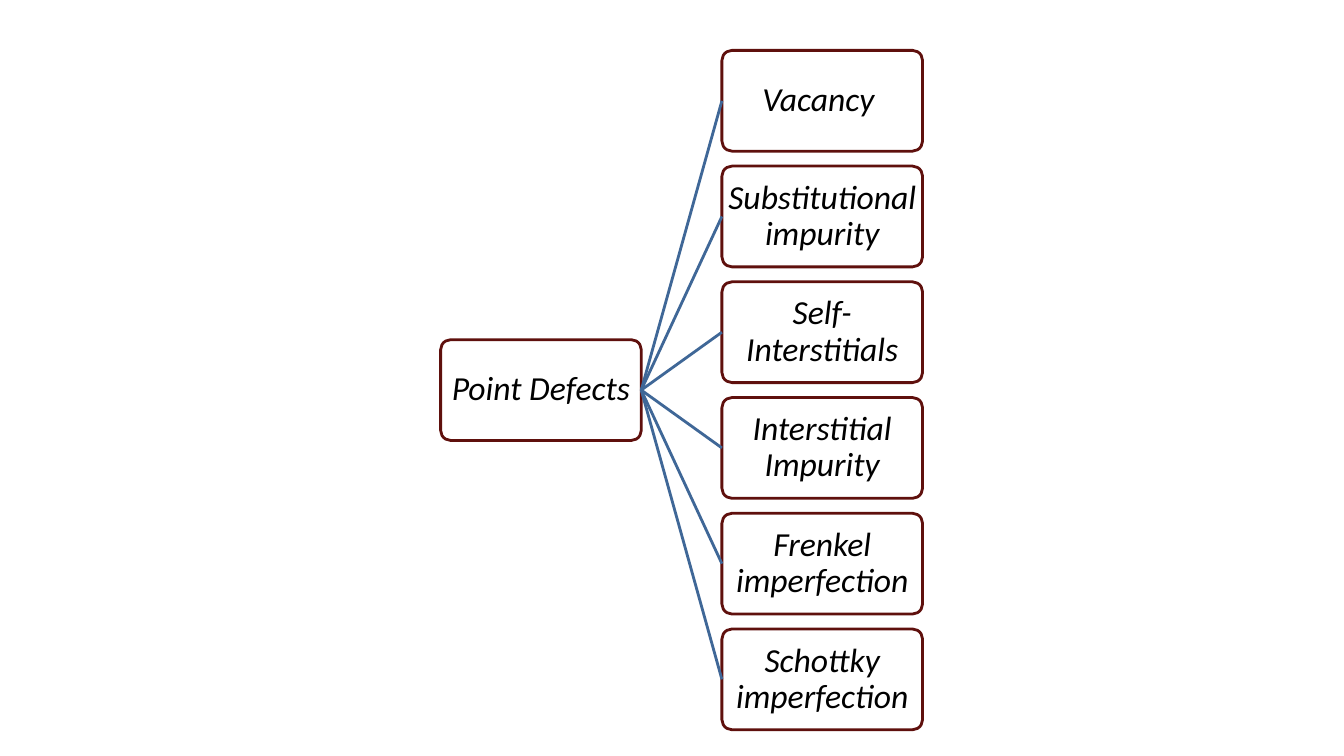
from pptx import Presentation
from pptx.dml.color import RGBColor
from pptx.enum.shapes import MSO_CONNECTOR, MSO_SHAPE
from pptx.enum.text import MSO_ANCHOR, PP_ALIGN
from pptx.oxml.ns import qn
from pptx.util import Inches, Pt
from lxml.etree import SubElement

ROOT = "Point Defects"
DEFECTS = [
    "Vacancy ",
    "Substitutional impurity",
    "Self-Interstitials",
    "Interstitial Impurity",
    "Frenkel imperfection",
    "Schottky imperfection",
]
BORDER, BRANCH, INK = "5F100D", "3F6797", "000000"

SLIDE_WIDTH, SLIDE_HEIGHT = 13.33, 7.5
BOX_WIDTH, BOX_HEIGHT = 1.99, 1
ROOT_LEFT, DEFECT_LEFT = 4.37, 7.16
FIRST_TOP, LAST_TOP = 0.5, 6.24
ROW_PITCH = (LAST_TOP - FIRST_TOP) / (len(DEFECTS) - 1)


def color(value):
    return RGBColor.from_string(value)


def style_line(shape, value, width=2):
    shape.line.color.rgb = color(value)
    shape.line.width = Pt(width)


def write_text(shape, text, size=24, font="Calibri", ink=INK, italic=True, inset=0.02):
    frame = shape.text_frame
    frame.word_wrap = True
    frame.vertical_anchor = MSO_ANCHOR.MIDDLE
    frame.margin_left = frame.margin_right = Inches(inset)
    frame.margin_top = frame.margin_bottom = Inches(inset)
    paragraph = frame.paragraphs[0]
    paragraph.alignment = PP_ALIGN.CENTER
    paragraph.line_spacing = 0.9
    run = paragraph.add_run()
    run.text = text
    run.font.size = Pt(size)
    run.font.name = font
    run.font.italic = italic
    run.font.color.rgb = color(ink)


def add_box(slide, text, left, top):
    shape = slide.shapes.add_shape(
        MSO_SHAPE.ROUNDED_RECTANGLE,
        Inches(left), Inches(top), Inches(BOX_WIDTH), Inches(BOX_HEIGHT),
    )
    shape.adjustments[0] = 0.1
    shape.shadow.inherit = False
    shape.fill.background()
    style_line(shape, BORDER)
    write_text(shape, text)
    return shape


def add_branch(slide, start, end):
    connector = slide.shapes.add_connector(MSO_CONNECTOR.STRAIGHT, 0, 0, 0, 0)
    connector.begin_connect(start, 3)
    connector.end_connect(end, 1)
    style_line(connector, BRANCH)
    SubElement(connector._element.spPr, qn("a:effectLst"))


def main():
    presentation = Presentation()
    presentation.slide_width = Inches(SLIDE_WIDTH)
    presentation.slide_height = Inches(SLIDE_HEIGHT)
    slide = presentation.slides.add_slide(presentation.slide_layouts[6])

    root = add_box(slide, ROOT, ROOT_LEFT, (FIRST_TOP + LAST_TOP) / 2)
    for row, defect in enumerate(DEFECTS):
        box = add_box(slide, defect, DEFECT_LEFT, FIRST_TOP + row * ROW_PITCH)
        add_branch(slide, root, box)

    presentation.save("out.pptx")


if __name__ == "__main__":
    main()
